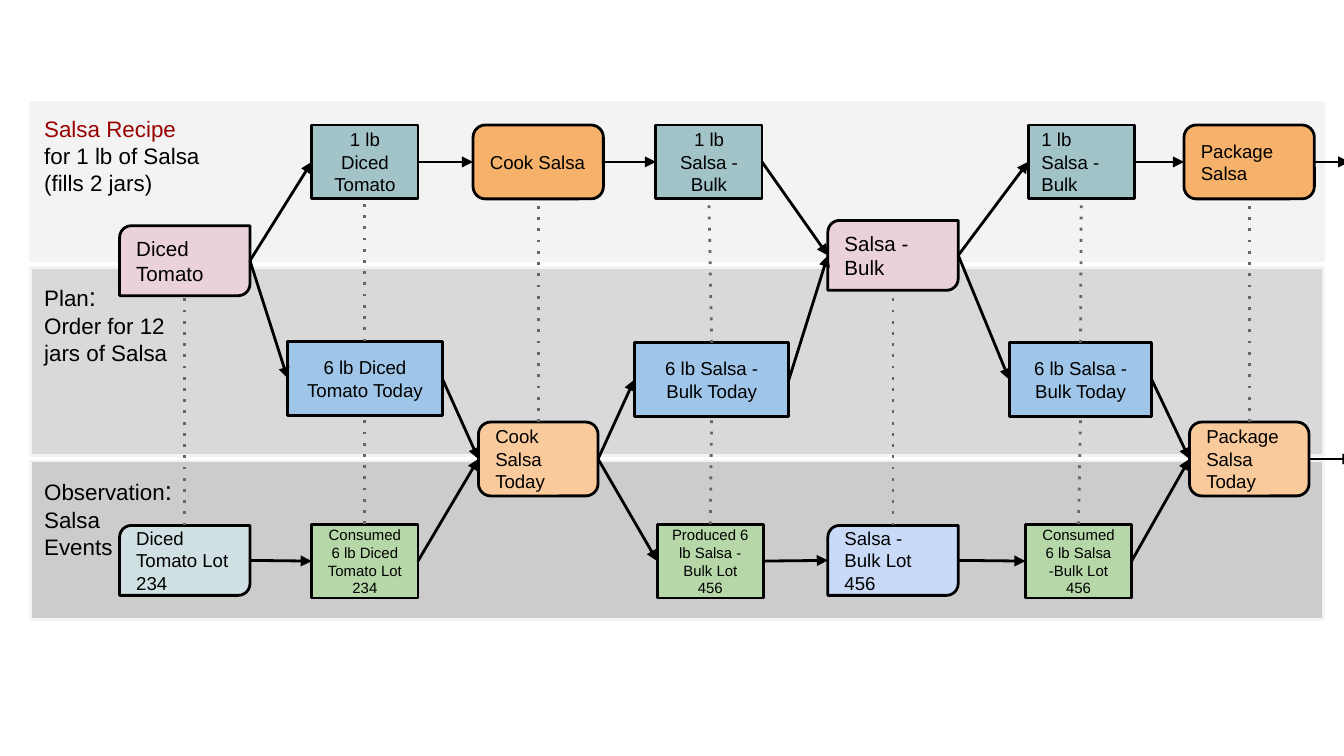
from dataclasses import dataclass

from pptx import Presentation
from pptx.dml.color import RGBColor
from pptx.enum.shapes import MSO_CONNECTOR, MSO_SHAPE
from pptx.enum.text import MSO_ANCHOR, PP_ALIGN
from pptx.oxml.ns import qn
from pptx.util import Pt
from lxml import etree

STRAIGHT = MSO_CONNECTOR.STRAIGHT
RECT, ROUND = MSO_SHAPE.RECTANGLE, MSO_SHAPE.ROUNDED_RECTANGLE
DIAG = MSO_SHAPE.ROUND_2_DIAG_RECTANGLE
LEFT, CENTER = PP_ALIGN.LEFT, PP_ALIGN.CENTER
TOP, MIDDLE = MSO_ANCHOR.TOP, MSO_ANCHOR.MIDDLE
SCALE = 9144  # EMU in one px, 100 px to the inch


@dataclass(frozen=True)
class Theme:
    font: str = "Arial"
    ink: str = "000000"
    title: str = "990000"
    edge: str = "F3F3F3"
    dots: str = "666666"
    line: float = 1.5
    inset: int = 10
    head: int = 12
    colon: int = 14
    item: int = 11
    body: int = 10
    small: int = 8


THEME = Theme()

# top, height, fill, lines, colour of first line
BANDS = [
    (343, 118, "CCCCCC", ["Observation:", "Salsa", "Events"], THEME.ink),
    (199, 140, "D9D9D9", ["Plan:", "Order for 12", "jars of Salsa"], THEME.ink),
    (76, 118, "F3F3F3",
     ["Salsa Recipe", "for 1 lb of Salsa", "(fills 2 jars)"], THEME.title),
]

# shape, width, height, fill, type size, alignment
KINDS = {
    "need": (RECT, 79, 55, "A2C4C9", THEME.body, CENTER),
    "need left": (RECT, 79, 55, "A2C4C9", THEME.body, LEFT),
    "step": (ROUND, 97, 55, "F6B26B", THEME.body, LEFT),
    "item": (DIAG, 97, 52, "EAD1DC", THEME.item, LEFT),
    "order": (RECT, 115, 55, "9FC5E8", THEME.body, CENTER),
    "order slim": (RECT, 106, 55, "9FC5E8", THEME.body, CENTER),
    "task": (ROUND, 89, 55, "F9CB9C", THEME.body, LEFT),
    "event": (RECT, 79, 55, "B6D7A8", THEME.small, CENTER),
    "raw lot": (DIAG, 97, 52, "D0E0E3", THEME.body, LEFT),
    "bulk lot": (DIAG, 97, 52, "C9DAF8", THEME.body, LEFT),
}

# name: kind, left, top, text
NODES = {
    "need tomato": ("need", 232, 93, "1 lb Diced Tomato"),
    "cook": ("step", 352, 93, "Cook Salsa"),
    "make bulk": ("need", 488, 93, "1 lb Salsa - Bulk"),
    "need bulk": ("need left", 765, 93, "1 lb Salsa - Bulk"),
    "pack": ("step", 881, 93, "Package Salsa"),
    "tomato": ("item", 89, 168, "Diced Tomato"),
    "bulk": ("item", 616, 164, "Salsa - Bulk"),
    "plan tomato": ("order", 214, 254, "6 lb Diced Tomato Today"),
    "plan bulk": ("order", 472, 255, "6 lb Salsa - Bulk Today"),
    "plan pack": ("order slim", 751, 255, "6 lb Salsa - Bulk Today"),
    "cook today": ("task", 356, 314, "Cook Salsa Today"),
    "pack today": ("task", 885, 314, "Package Salsa Today"),
    "tomato lot": ("raw lot", 89, 391, "Diced Tomato Lot 234"),
    "used tomato": ("event", 232, 390, "Consumed 6 lb Diced Tomato Lot 234"),
    "made bulk": ("event", 489, 390, "Produced 6 lb Salsa - Bulk Lot 456"),
    "bulk lot": ("bulk lot", 616, 391, "Salsa - Bulk Lot 456"),
    "used bulk": ("event", 763, 390, "Consumed 6 lb Salsa -Bulk Lot 456"),
}

FLOWS = [
    ["tomato", "need tomato", "cook", "make bulk", "bulk", "need bulk", "pack"],
    ["tomato", "plan tomato", "cook today", "plan bulk", "bulk", "plan pack",
     "pack today"],
    ["tomato lot", "used tomato", "cook today", "made bulk", "bulk lot",
     "used bulk", "pack today"],
]
EXITS = {"pack": 1004, "pack today": 1007}

# each column is read from top to bottom
LINKS = [
    ["tomato", "tomato lot"],
    ["need tomato", "plan tomato", "used tomato"],
    ["cook", "cook today"],
    ["make bulk", "plan bulk", "made bulk"],
    ["bulk", "bulk lot"],
    ["need bulk", "plan pack", "used bulk"],
    ["pack", "pack today"],
]


def px(value):
    return int(value * SCALE)


def add_box(slide, shape, box, fill, edge, anchor):
    item = slide.shapes.add_shape(shape, *map(px, box))
    item.shadow.inherit = False
    item.fill.solid()
    item.fill.fore_color.rgb = RGBColor.from_string(fill)
    item.line.color.rgb = RGBColor.from_string(edge)
    item.line.width = Pt(THEME.line)
    frame = item.text_frame
    frame.word_wrap = True
    frame.vertical_anchor = anchor
    frame.margin_left = frame.margin_right = px(THEME.inset)
    frame.margin_top = frame.margin_bottom = px(THEME.inset)
    return item


def style(run, size, color):
    run.font.name = THEME.font
    run.font.size = Pt(size)
    run.font.color.rgb = RGBColor.from_string(color)


def add_band(slide, top, height, fill, lines, color):
    band = add_box(slide, RECT, (23, top, 962, height), fill, THEME.edge, TOP)
    frame = band.text_frame
    frame.text = "\n".join(lines)
    for para in frame.paragraphs:
        para.alignment = LEFT
        run = para.runs[0]
        style(run, THEME.head, THEME.ink)
        if run.text.endswith(":"):
            run.text = run.text[:-1]
            colon = para.add_run()
            colon.text = ":"
            style(colon, THEME.colon, THEME.ink)
    style(frame.paragraphs[0].runs[0], THEME.head, color)


def add_node(slide, kind, left, top, text):
    shape, width, height, fill, size, align = KINDS[kind]
    box = (left, top, width, height)
    node = add_box(slide, shape, box, fill, THEME.ink, MIDDLE)
    if shape != RECT:
        node.adjustments[0] = 0.167
    node.text_frame.text = text
    para = node.text_frame.paragraphs[0]
    para.alignment = align
    style(para.runs[0], size, THEME.ink)
    return node


def add_line(slide, start, end, color, tag, **attrs):
    """Draw a line whose dash or arrowhead is the a:ln child named by tag."""
    line = slide.shapes.add_connector(STRAIGHT, *start, *end)
    line.line.color.rgb = RGBColor.from_string(color)
    line.line.width = Pt(THEME.line)
    props = line._element.spPr
    etree.SubElement(props.find(qn("a:ln")), qn(tag), attrs)
    etree.SubElement(props, qn("a:effectLst"))


def add_arrow(slide, start, end):
    add_line(slide, start, end, THEME.ink, "a:tailEnd", type="triangle")


def add_dots(slide, start, end):
    add_line(slide, start, end, THEME.dots, "a:prstDash", val="dot")


def side(node, across, down):
    """Point at the given fractions of a node's width and height."""
    return (int(node.left + node.width * across),
            int(node.top + node.height * down))


def main():
    deck = Presentation()
    deck.slide_width = px(1000)
    deck.slide_height = deck.slide_width * 9 // 16
    slide = deck.slides.add_slide(deck.slide_layouts[6])
    for band in BANDS:
        add_band(slide, *band)
    nodes = {name: add_node(slide, *spec) for name, spec in NODES.items()}
    for flow in FLOWS:
        for first, then in zip(flow, flow[1:]):
            add_arrow(slide, side(nodes[first], 1, 0.5),
                      side(nodes[then], 0, 0.5))
    for name, right in EXITS.items():
        start = side(nodes[name], 1, 0.5)
        add_arrow(slide, start, (px(right), start[1]))
    for chain in LINKS:
        for upper, lower in zip(chain, chain[1:]):
            add_dots(slide, side(nodes[lower], 0.5, 0),
                     side(nodes[upper], 0.5, 1))
    deck.save("out.pptx")


if __name__ == "__main__":
    main()
